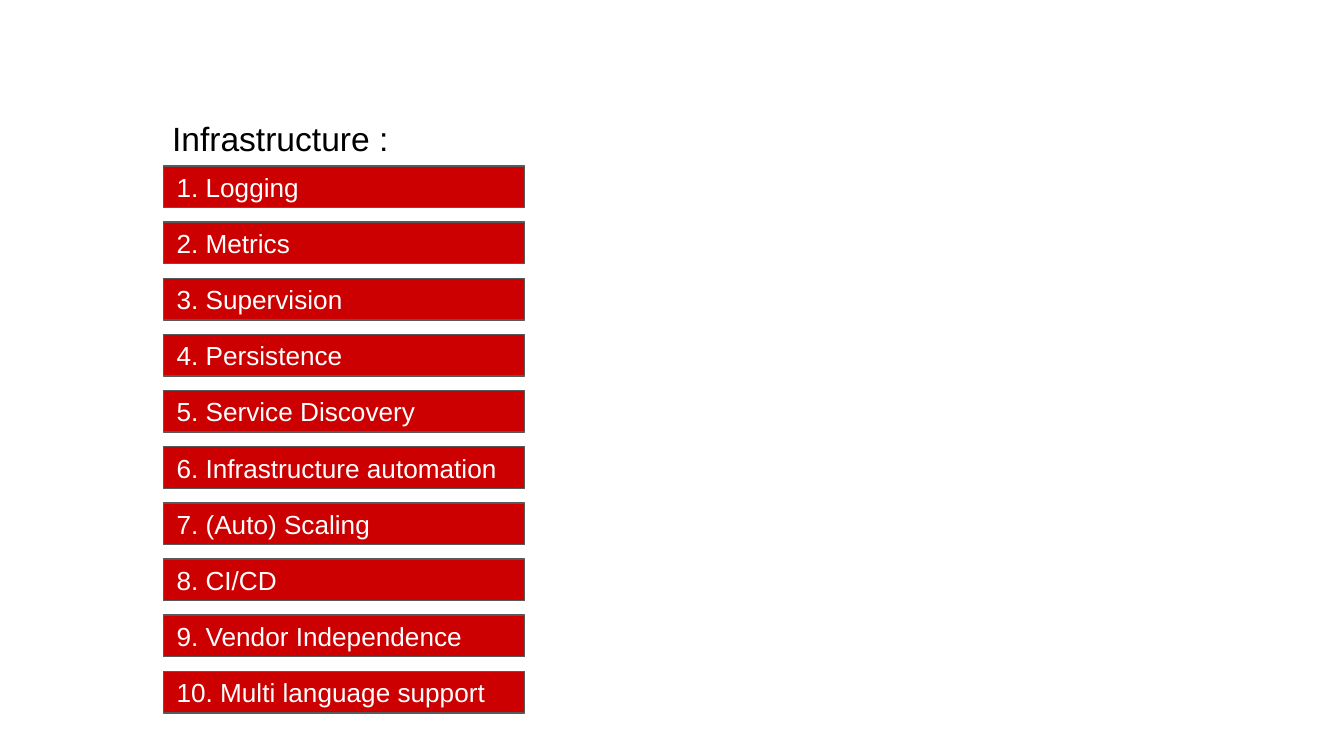
import pptx
import pptx.dml.color
import pptx.enum.shapes
import pptx.enum.text
import pptx.util

EMU_PER_PX = 4572  # 200 px to the inch
SLIDE_SIZE = (2000, 1125)
TITLE_BOX = (236, 156, 1046, 140)
LIST_BOX = (243, 247, 538, 814)
BAR_HEIGHT = 62
INSET = 20
FONT = "Arial"

TOPICS = [
    "Logging",
    "Metrics",
    "Supervision",
    "Persistence",
    "Service Discovery",
    "Infrastructure automation",
    "(Auto) Scaling",
    "CI/CD",
    "Vendor Independence",
    "Multi language support",
]


def px(length):
    return pptx.util.Emu(round(length * EMU_PER_PX))


def color(hex_string):
    return pptx.dml.color.RGBColor.from_string(hex_string)


def write_text(shape, text, size, font_color, anchor):
    frame = shape.text_frame
    frame_format = {
        "word_wrap": True,
        "auto_size": pptx.enum.text.MSO_AUTO_SIZE.NONE,
        "vertical_anchor": anchor,
        "margin_left": px(INSET),
        "margin_top": px(INSET),
        "margin_right": px(INSET),
        "margin_bottom": px(INSET),
    }
    for name, value in frame_format.items():
        setattr(frame, name, value)

    paragraph = frame.paragraphs[0]
    paragraph.alignment = pptx.enum.text.PP_ALIGN.LEFT
    run = paragraph.add_run()
    run.text = text
    for name, value in {"name": FONT, "size": pptx.util.Pt(size)}.items():
        setattr(run.font, name, value)
    run.font.color.rgb = color(font_color)


def place_title(slide, box, text):
    title = slide.shapes.title
    for name, length in zip(("left", "top", "width", "height"), box):
        setattr(title, name, px(length))
    write_text(title, text, 18, "000000", pptx.enum.text.MSO_ANCHOR.TOP)


def add_bar(slide, box, text):
    bar = slide.shapes.add_shape(
        pptx.enum.shapes.MSO_SHAPE.RECTANGLE, *map(px, box)
    )
    bar.shadow.inherit = False
    bar.fill.solid()
    bar.fill.fore_color.rgb = color("CC0000")
    bar.line.color.rgb = color("595959")
    bar.line.width = pptx.util.Pt(0.75)
    write_text(bar, text, 14, "FFFFFF", pptx.enum.text.MSO_ANCHOR.MIDDLE)


def add_topic_list(slide, box, topics):
    """Spread numbered bars evenly from the top to the bottom of the box."""
    left, top, width, height = box
    pitch = (height - BAR_HEIGHT) / (len(topics) - 1)
    for index, topic in enumerate(topics):
        bar_box = (left, top + index * pitch, width, BAR_HEIGHT)
        add_bar(slide, bar_box, f"{index + 1}. {topic}")


def main():
    presentation = pptx.Presentation()
    presentation.slide_width, presentation.slide_height = map(px, SLIDE_SIZE)
    title_only = presentation.slide_layouts.get_by_name("Title Only")
    slide = presentation.slides.add_slide(title_only)
    place_title(slide, TITLE_BOX, "Infrastructure :")
    add_topic_list(slide, LIST_BOX, TOPICS)
    presentation.save("out.pptx")


if __name__ == "__main__":
    main()
